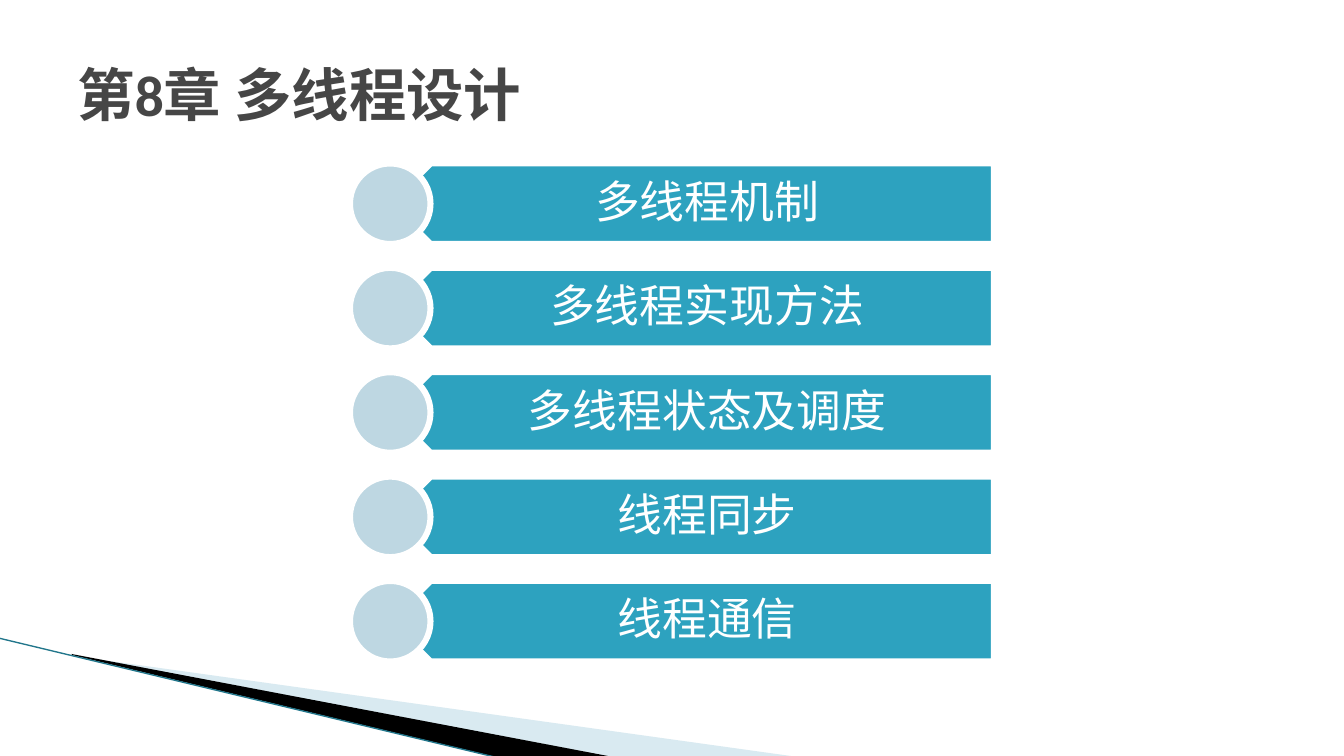
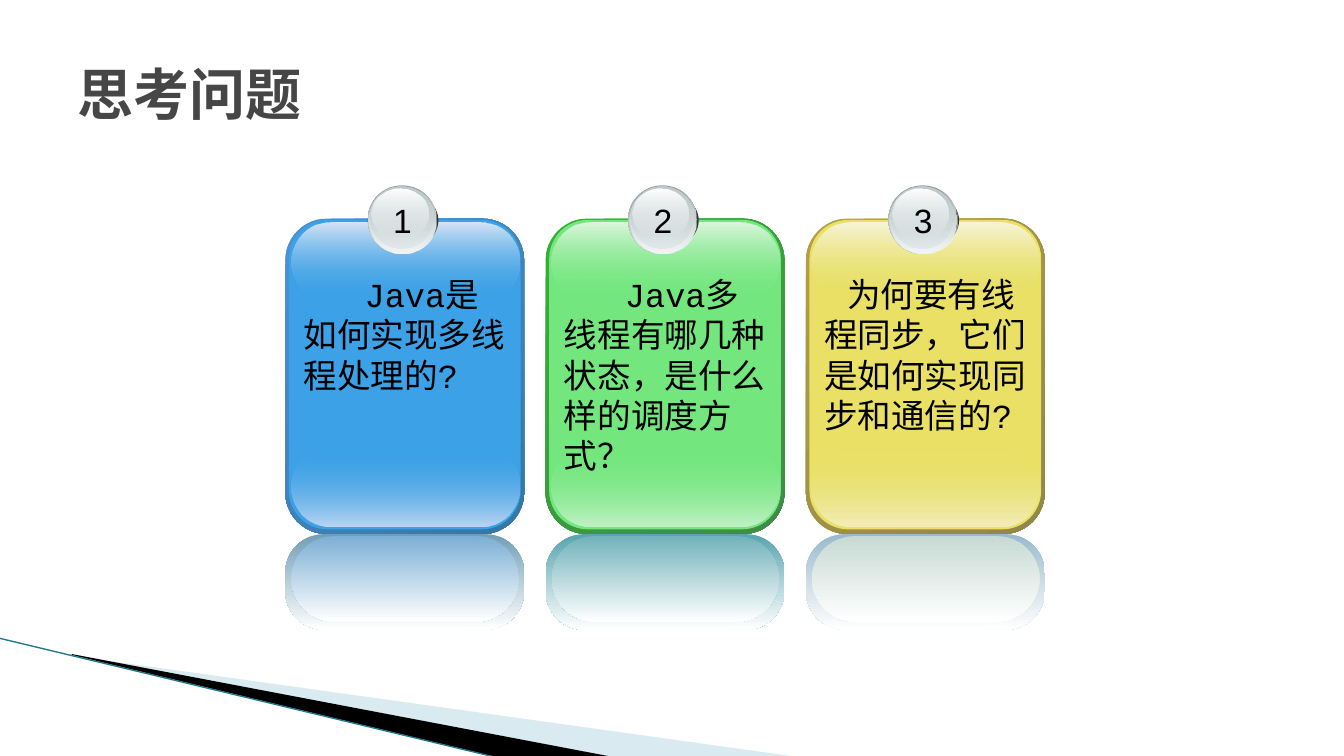
from dataclasses import dataclass

from lxml import etree
from pptx import Presentation
from pptx.dml.color import RGBColor
from pptx.enum.shapes import MSO_CONNECTOR, MSO_SHAPE
from pptx.enum.text import MSO_ANCHOR, PP_ALIGN
from pptx.oxml.ns import qn
from pptx.util import Cm, Pt

PENTAGON, OVAL, ROUNDED = MSO_SHAPE.PENTAGON, MSO_SHAPE.OVAL, MSO_SHAPE.ROUNDED_RECTANGLE
STRAIGHT = MSO_CONNECTOR.STRAIGHT
MIDDLE, TOP = MSO_ANCHOR.MIDDLE, MSO_ANCHOR.TOP
CENTER, LEFT = PP_ALIGN.CENTER, PP_ALIGN.LEFT

# Shared colours and fonts
WHITE, BLACK, TITLE_GREY = "FFFFFF", "000000", "464646"
TEAL, PALE_BLUE, SWOOSH_BLUE, SWOOSH_EDGE = "2DA2BF", "BED7E2", "A0CBDC", "21768B"
TITLE_FONT, NUMBER_FONT, QUESTION_FONT = "Calibri", "Arial", "Courier New"


@dataclass(frozen=True)
class Box:
    """Position and size in centimetres."""
    left: float
    top: float
    width: float
    height: float

    def shifted(self, dx: float = 0, dy: float = 0) -> "Box":
        return Box(self.left + dx, self.top + dy, self.width, self.height)

    def lengths(self) -> tuple:
        return Cm(self.left), Cm(self.top), Cm(self.width), Cm(self.height)


@dataclass(frozen=True)
class Gradient:
    start: str
    end: str
    angle: int = 90
    start_opacity: int = 100
    end_opacity: int = 100


@dataclass(frozen=True)
class TextStyle:
    font: str
    size: float
    color: str = BLACK
    bold: bool = False
    align: PP_ALIGN = LEFT
    anchor: MSO_ANCHOR = TOP


@dataclass(frozen=True)
class Card:
    number: str
    question: str
    indent: float
    edge: Gradient
    face: str
    top_shine: str
    bottom_shine: str
    reflection: str
    inner_reflection: str


TOPICS = ["多线程机制", "多线程实现方法", "多线程状态及调度", "线程同步", "线程通信"]
BANNER, DISC, BANNER_PITCH = Box(9.84, 4.12, 15.21, 2.03), Box(8.82, 4.12, 2.03, 2.03), 2.63
TOPIC_STYLE = TextStyle(TITLE_FONT, 32, WHITE, align=CENTER, anchor=MIDDLE)

CARDS = [
    Card("1", "Java是如何实现多线程处理的?", 1.54, Gradient("4E91D4", "3477A4", 45),
         "3CA1E6", "D7E5F7", "BDD6F3", "729EB4", "7DAFD4"),
    Card("2", "Java多线程有哪几种状态，是什么样的调度方式？", 1.54, Gradient("34B034", "3F8B4A", 45),
         "73E77E", "DDF7DF", "C3F2C7", "58A4AE", "72B2BB"),
    Card("3", "为何要有线程同步，它们是如何实现同步和通信的?", 0.58, Gradient("B59F43", "8F8849", 45),
         "E9E065", "F8F5DB", "F3EEBB", "99BACC", "C8DAD4"),
]
CARD_LEFT, CARD_PITCH = 7.19, 6.56
NUMBER_STYLE = TextStyle(NUMBER_FONT, 24, align=CENTER)
QUESTION_STYLE = TextStyle(QUESTION_FONT, 24)

# Glass badge, from back to front, measured from the card's left edge
BADGE_LAYERS = [
    (Box(2.08, 4.83, 1.78, 1.45), "333333"),
    (Box(2.08, 4.67, 1.73, 1.73), Gradient("99A1A2", "D6E1E2")),
    (Box(2.11, 4.7, 1.7, 1.68), Gradient("D6E1E2", "F2F5F5", start_opacity=0)),
    (Box(2.13, 4.7, 1.6, 1.57), Gradient("C1CBCC", "D6E1E2", end_opacity=48)),
    (Box(2.18, 4.75, 1.42, 1.27), Gradient("FFFFFF", "D6E1E2", end_opacity=38)),
]


def rgb(color: str) -> RGBColor:
    return RGBColor.from_string(color)


def set_opacities(shape, *percents: int) -> None:
    """Give each fill colour of the shape its opacity, in order."""
    colors = list(shape.element.spPr.iter(qn("a:srgbClr")))
    for color, percent in zip(colors, percents):
        if percent < 100:
            etree.SubElement(color, qn("a:alpha")).set("val", str(percent * 1000))


def paint(shape, fill: str | Gradient, outline: str | None = None) -> None:
    shape.shadow.inherit = False
    if isinstance(fill, Gradient):
        shape.fill.gradient()
        shape.fill.gradient_angle = 360 - fill.angle
        for stop, color in zip(shape.fill.gradient_stops, (fill.start, fill.end)):
            stop.color.rgb = rgb(color)
        set_opacities(shape, fill.start_opacity, fill.end_opacity)
    else:
        shape.fill.solid()
        shape.fill.fore_color.rgb = rgb(fill)
    if outline:
        shape.line.color.rgb = rgb(outline)
        shape.line.width = Pt(4.33)
    else:
        shape.line.fill.background()


def add_preset(slide, preset, box: Box, fill: str | Gradient,
               outline: str | None = None, rounding: float | None = None):
    shape = slide.shapes.add_shape(preset, *box.lengths())
    if rounding is not None:
        shape.adjustments[0] = rounding
    paint(shape, fill, outline)
    return shape


def write(shape, text: str, style: TextStyle, wrap: bool = True):
    frame = shape.text_frame
    frame.word_wrap = wrap
    frame.vertical_anchor = style.anchor
    paragraph = frame.paragraphs[0]
    paragraph.text = text
    paragraph.alignment = style.align
    font = paragraph.font
    font.name, font.size, font.bold = style.font, Pt(style.size), style.bold
    font.color.rgb = rgb(style.color)
    return paragraph


def add_text(slide, box: Box, text: str, style: TextStyle, wrap: bool = True):
    return write(slide.shapes.add_textbox(*box.lengths()), text, style, wrap)


def add_swoosh(slide, points: list[tuple[float, float]], color: str, opacity: int = 100) -> None:
    corners = [(Cm(x), Cm(y)) for x, y in points]
    builder = slide.shapes.build_freeform(*corners[0])
    builder.add_line_segments(corners[1:])
    swoosh = builder.convert_to_shape()
    paint(swoosh, color)
    set_opacities(swoosh, opacity)


def add_base_slide(deck, title: str, title_size: float):
    """Blank slide with the corner swooshes and the title."""
    slide = deck.slides.add_slide(deck.slide_layouts[6])
    add_swoosh(slide, [(1.85, 16.53), (20.14, 19.08), (15.44, 19.08), (1.85, 16.51)], SWOOSH_BLUE, 40)
    add_swoosh(slide, [(1.8, 16.48), (15.47, 19.08), (12.6, 19.1), (1.83, 16.51)], BLACK)
    edge = slide.shapes.add_connector(STRAIGHT, Cm(-0.03), Cm(16.08), Cm(12.57), Cm(19.1))
    edge.line.color.rgb = rgb(SWOOSH_EDGE)
    edge.line.width = Pt(0.95)
    etree.SubElement(edge.element.spPr, qn("a:effectLst"))
    add_text(slide, Box(1.7, 0.76, 30.48, 3.18), title,
             TextStyle(TITLE_FONT, title_size, TITLE_GREY, bold=True, anchor=MIDDLE))
    return slide


def add_topic(slide, topic: str, dy: float) -> None:
    banner = add_preset(slide, PENTAGON, BANNER.shifted(dy=dy), TEAL, WHITE)
    banner.element.spPr.find(qn("a:xfrm")).set("flipH", "1")
    frame = banner.text_frame
    frame.margin_left, frame.margin_right = Cm(0.89), Cm(0.64)
    frame.margin_top = frame.margin_bottom = Cm(0.33)
    write(banner, topic, TOPIC_STYLE).line_spacing = 0.9
    add_preset(slide, OVAL, DISC.shifted(dy=dy), PALE_BLUE, WHITE)


def add_card(slide, card: Card, left: float) -> None:
    # Body, shine and reflection
    layers = [
        (Box(0, 5.51, 6.02, 7.95), card.edge, 0.175),
        (Box(0.09, 5.54, 5.84, 7.8), card.face, 0.167),
        (Box(0.15, 11.28, 5.74, 1.98), Gradient(card.face, card.bottom_shine, start_opacity=0), 0.5),
        (Box(0.15, 5.61, 5.74, 1.96), Gradient(card.top_shine, card.face, end_opacity=0), 0.5),
        (Box(0, 13.46, 6.02, 2.41), Gradient(card.reflection, WHITE), 0.404),
        (Box(0.15, 13.51, 5.74, 2.16), Gradient(card.inner_reflection, WHITE), 0.5),
    ]
    for box, fill, rounding in layers:
        add_preset(slide, ROUNDED, box.shifted(left), fill, rounding=rounding)
    # Numbered badge
    for box, fill in BADGE_LAYERS:
        add_preset(slide, OVAL, box.shifted(left), fill)
    add_text(slide, Box(2.46, 4.92, 0.99, 1.27).shifted(left), card.number, NUMBER_STYLE, wrap=False)
    # Question with a first-line indent; closing punctuation stays inside the card
    question = add_text(slide, Box(0.21, 6.78, 5.72, 4.37).shifted(left), card.question, QUESTION_STYLE)
    properties = question._p.get_or_add_pPr()
    properties.set("marL", "0")
    properties.set("indent", str(Cm(card.indent)))
    properties.set("hangingPunct", "0")


def main() -> None:
    deck = Presentation()
    deck.slide_width, deck.slide_height = Cm(33.87), Cm(19.05)

    # Chapter outline
    outline = add_base_slide(deck, "第8章 多线程设计", 41)
    for row, topic in enumerate(TOPICS):
        add_topic(outline, topic, row * BANNER_PITCH)

    # Questions to think about
    questions = add_base_slide(deck, "思考问题", 40)
    for column, card in enumerate(CARDS):
        add_card(questions, card, CARD_LEFT + column * CARD_PITCH)

    deck.save("out.pptx")


if __name__ == "__main__":
    main()
